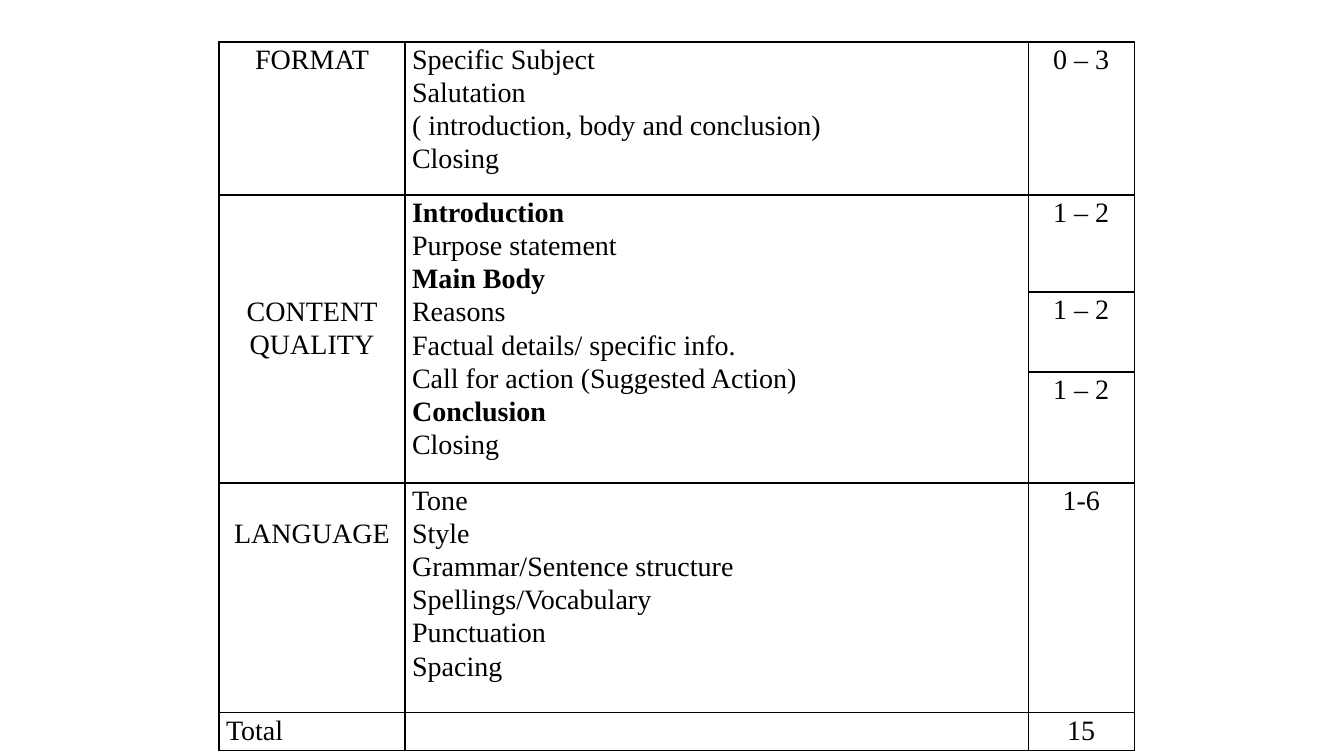
from lxml import etree
from pptx import Presentation
from pptx.dml.color import RGBColor
from pptx.enum.text import PP_ALIGN
from pptx.oxml.ns import qn
from pptx.util import Inches, Pt

LEFT, CENTER = PP_ALIGN.LEFT, PP_ALIGN.CENTER
PX = 914400 / 100.8
BLACK = "000000"
LINE = 33  # height of one text line in px

COLS = [186, 623, 106]
ROWS = [153, 97, 80, 111, 230, 38]
HEADINGS = {"Introduction", "Main Body", "Conclusion"}

# (row, column): lines of text
TEXTS = {
    (0, 0): ["FORMAT"],
    (0, 1): ["Specific Subject", "Salutation",
             "( introduction, body and conclusion)", "Closing"],
    (0, 2): ["0 – 3"],
    (1, 0): ["CONTENT", "QUALITY"],
    (1, 1): ["Introduction", "Purpose statement", "Main Body", "Reasons",
             "Factual details/ specific info.",
             "Call for action (Suggested Action)", "Conclusion", "Closing"],
    (1, 2): ["1 – 2"],
    (2, 2): ["1 – 2"],
    (3, 2): ["1 – 2"],
    (4, 0): ["LANGUAGE"],
    (4, 1): ["Tone", "Style", "Grammar/Sentence structure",
             "Spellings/Vocabulary", "Punctuation", "Spacing"],
    (4, 2): ["1-6"],
    (5, 0): ["Total"],
    (5, 2): ["15"],
}
LINES_ABOVE = {(1, 0): 3, (4, 0): 1}


def px(n):
    return round(n * PX)


def rgb(color):
    return RGBColor.from_string(color)


def set_borders(cell, color, width):
    tcPr = cell._tc.get_or_add_tcPr()
    for side in ("a:lnL", "a:lnR", "a:lnT", "a:lnB"):
        ln = etree.SubElement(tcPr, qn(side), w=str(Pt(width)))
        fill = etree.SubElement(ln, qn("a:solidFill"))
        etree.SubElement(fill, qn("a:srgbClr"), val=color)


def fill_cell(cell, lines, align, lines_above):
    set_borders(cell, BLACK, 1)
    cell.fill.background()
    cell.margin_left = cell.margin_right = px(7)
    cell.margin_top, cell.margin_bottom = px(lines_above * LINE), 0
    tf = cell.text_frame
    tf.text = "\n".join(lines)
    for p in tf.paragraphs:
        p.alignment = align
        p.line_spacing = 1.07
        p.font.name = "Times New Roman"
        p.font.size = Pt(20)
        p.font.bold = p.text in HEADINGS
        p.font.color.rgb = rgb(BLACK)


def add_rubric(slide, left, top):
    frame = slide.shapes.add_table(len(ROWS), len(COLS), px(left), px(top),
                                   px(sum(COLS)), px(sum(ROWS)))
    table = frame.table
    table.first_row = table.horz_banding = False
    for column, width in zip(table.columns, COLS):
        column.width = px(width)
    for row, height in zip(table.rows, ROWS):
        row.height = px(height)
    for r in range(len(ROWS)):
        for c in range(len(COLS)):
            align = LEFT if c == 1 or (r, c) == (5, 0) else CENTER
            fill_cell(table.cell(r, c), TEXTS.get((r, c), []), align,
                      LINES_ABOVE.get((r, c), 0))
    for c in (0, 1):
        table.cell(1, c).merge(table.cell(3, c))


def main():
    prs = Presentation()
    prs.slide_width, prs.slide_height = Inches(13.33), Inches(7.5)
    slide = prs.slides.add_slide(prs.slide_layouts[6])
    add_rubric(slide, 219, 42)
    prs.save("out.pptx")


if __name__ == "__main__":
    main()
